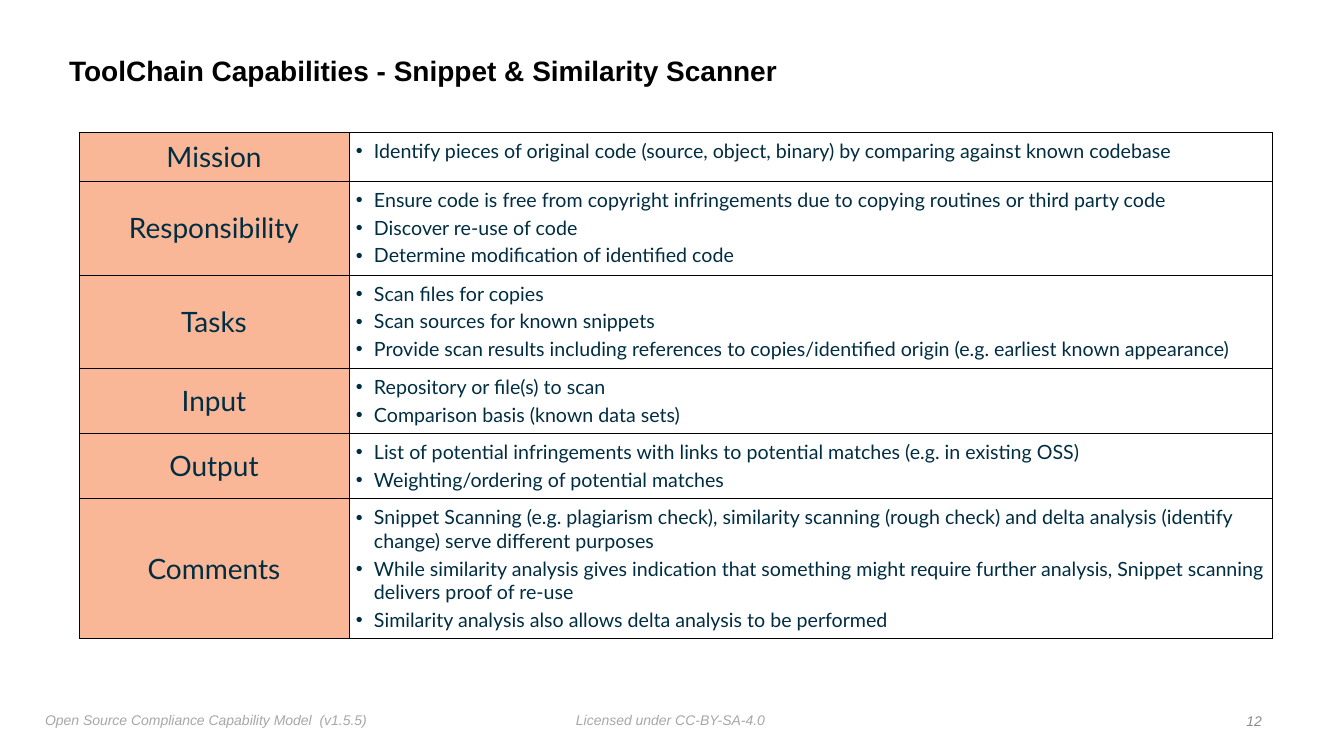
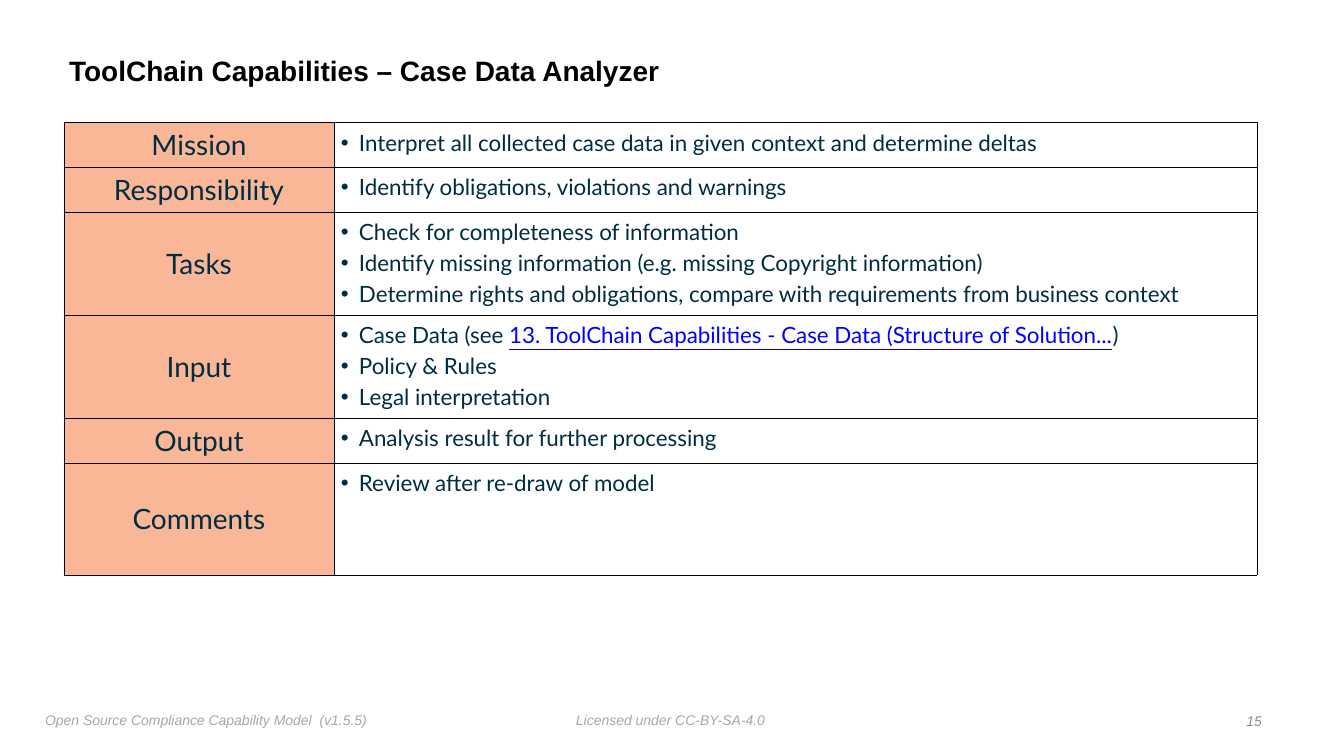
from lxml.etree import SubElement
from pptx import Presentation
from pptx.dml.color import RGBColor
from pptx.enum.text import MSO_ANCHOR as ANCHOR, PP_ALIGN as ALIGN
from pptx.oxml import parse_xml
from pptx.oxml.ns import nsdecls, qn
from pptx.util import Pt

PX = 12192000 / 1344
BLACK = RGBColor(0x00, 0x00, 0x00)
NAVY = RGBColor(0x00, 0x2D, 0x41)
PEACH = RGBColor(0xFA, 0xB7, 0x98)
LINK_BLUE = RGBColor(0x00, 0x00, 0xFF)
FOOTER_GREY = RGBColor(0xA7, 0xA7, 0xA7)
NUMBER_GREY = RGBColor(0x88, 0x8C, 0x91)
HEADING_FONT = "Arial"
TABLE_FONT = "Lato"
LABEL_SIZE = 20
COLUMN_WIDTHS = (270, 923)


def px(length):
    return round(length * PX)


def write(paragraph, text, size=14, color=NAVY, face=TABLE_FONT, bold=False,
          italic=False, underline=False, align=ALIGN.LEFT):
    paragraph.alignment = align
    run = paragraph.add_run()
    run.text = text
    font = run.font
    font.name, font.size, font.color.rgb = face, Pt(size), color
    font.bold, font.italic, font.underline = bold, italic, underline


def set_margins(holder, margin):
    holder.margin_left = holder.margin_right = px(margin)
    holder.margin_top = holder.margin_bottom = px(margin)


class Deck:
    def __init__(self):
        self.presentation = Presentation()
        self.presentation.slide_width = px(1344)
        self.presentation.slide_height = px(756)
        self.slide = None

    def add_slide(self, heading, number):
        layout = self.presentation.slide_layouts[5]
        self.slide = self.presentation.slides.add_slide(layout)
        self.title(heading)
        self.footer("Licensed under CC-BY-SA-4.0", 571, 707, 240)
        self.footer("Open Source Compliance Capability Model  (v1.5.5)", 40, 707, 400)
        self.footer(str(number), 1207, 708, 60, color=NUMBER_GREY, align=ALIGN.RIGHT)

    def title(self, heading):
        title = self.slide.shapes.title
        title.left, title.top = px(64), px(39)
        title.width, title.height = px(1084), px(66)
        frame = title.text_frame
        frame.vertical_anchor = ANCHOR.MIDDLE
        frame.word_wrap = True
        set_margins(frame, 5)
        frame.paragraphs[0].line_spacing = 0.9
        write(frame.paragraphs[0], heading, size=20, color=BLACK,
              face=HEADING_FONT, bold=True)

    def footer(self, text, left, top, width, color=FOOTER_GREY, align=ALIGN.LEFT):
        box = self.slide.shapes.add_textbox(px(left), px(top), px(width), px(26))
        frame = box.text_frame
        frame.word_wrap = True
        set_margins(frame, 5)
        write(frame.paragraphs[0], text, size=10, color=color,
              face=HEADING_FONT, italic=True, align=align)

    def capability_table(self, left, top, rows, size):
        frame = self.slide.shapes.add_table(
            len(rows), 2, px(left), px(top), px(sum(COLUMN_WIDTHS)),
            px(sum(height for _, height, _ in rows)))
        table = frame.table
        table.first_row = table.horz_banding = False
        for column, width in zip(table.columns, COLUMN_WIDTHS):
            column.width = px(width)
        for index, (label, height, points) in enumerate(rows):
            table.rows[index].height = px(height)
            self.label_cell(table.cell(index, 0), label)
            self.points_cell(table.cell(index, 1), points, size)

    def label_cell(self, cell, label):
        self.border(cell)
        cell.fill.solid()
        cell.fill.fore_color.rgb = PEACH
        cell.vertical_anchor = ANCHOR.MIDDLE
        set_margins(cell, 0)
        write(cell.text_frame.paragraphs[0], label, size=LABEL_SIZE, align=ALIGN.CENTER)

    def points_cell(self, cell, points, size):
        self.border(cell)
        cell.fill.background()
        set_margins(cell, 7)
        frame = cell.text_frame
        for index, point in enumerate(points):
            paragraph = frame.add_paragraph() if index else frame.paragraphs[0]
            self.bullet(paragraph)
            if index:
                paragraph.space_before = Pt(3)
            if isinstance(point, str):
                write(paragraph, point, size=size)
            else:
                before, reference, after = point
                write(paragraph, before, size=size)
                write(paragraph, reference, size=size, color=LINK_BLUE, underline=True)
                write(paragraph, after, size=size)

    def bullet(self, paragraph):
        properties = paragraph._p.get_or_add_pPr()
        properties.set("marL", str(px(18)))
        properties.set("indent", str(px(-18)))
        SubElement(properties, qn("a:buFont")).set("typeface", HEADING_FONT)
        SubElement(properties, qn("a:buChar")).set("char", "•")

    def border(self, cell):
        properties = cell._tc.get_or_add_tcPr()
        for side in "LRTB":
            properties.append(parse_xml(
                f'<a:ln{side} {nsdecls("a")} w="{Pt(0.5)}"><a:solidFill>'
                f'<a:srgbClr val="{BLACK}"/></a:solidFill></a:ln{side}>'))

    def save(self):
        self.presentation.save("out.pptx")


SCANNER_ROWS = [
    ("Mission", 49, [
        "Identify pieces of original code (source, object, binary) by comparing against known codebase"]),
    ("Responsibility", 94, [
        "Ensure code is free from copyright infringements due to copying routines or third party code",
        "Discover re-use of code",
        "Determine modification of identified code"]),
    ("Tasks", 93, [
        "Scan files for copies",
        "Scan sources for known snippets",
        "Provide scan results including references to copies/identified origin "
        "(e.g. earliest known appearance)"]),
    ("Input", 65, [
        "Repository or file(s) to scan",
        "Comparison basis (known data sets)"]),
    ("Output", 65, [
        "List of potential infringements with links to potential matches (e.g. in existing OSS)",
        "Weighting/ordering of potential matches"]),
    ("Comments", 140, [
        "Snippet Scanning (e.g. plagiarism check), similarity scanning (rough check) "
        "and delta analysis (identify change) serve different purposes",
        "While similarity analysis gives indication that something might require "
        "further analysis, Snippet scanning delivers proof of re-use",
        "Similarity analysis also allows delta analysis to be performed"]),
]

ANALYZER_ROWS = [
    ("Mission", 45, ["Interpret all collected case data in given context and determine deltas"]),
    ("Responsibility", 45, ["Identify obligations, violations and warnings"]),
    ("Tasks", 103, [
        "Check for completeness of information",
        "Identify missing information (e.g. missing Copyright information)",
        "Determine rights and obligations, compare with requirements from business context"]),
    ("Input", 103, [
        ("Case Data (see ",
         "13. ToolChain Capabilities - Case Data (Structure of Solution...", ")"),
        "Policy & Rules",
        "Legal interpretation"]),
    ("Output", 45, ["Analysis result for further processing"]),
    ("Comments", 112, ["Review after re-draw of model"]),
]


def main():
    deck = Deck()
    deck.add_slide("ToolChain Capabilities - Snippet & Similarity Scanner", 12)
    deck.capability_table(79, 132, SCANNER_ROWS, size=14)
    deck.add_slide("ToolChain Capabilities – Case Data Analyzer", 15)
    deck.capability_table(64, 122, ANALYZER_ROWS, size=16)
    deck.save()


if __name__ == "__main__":
    main()
